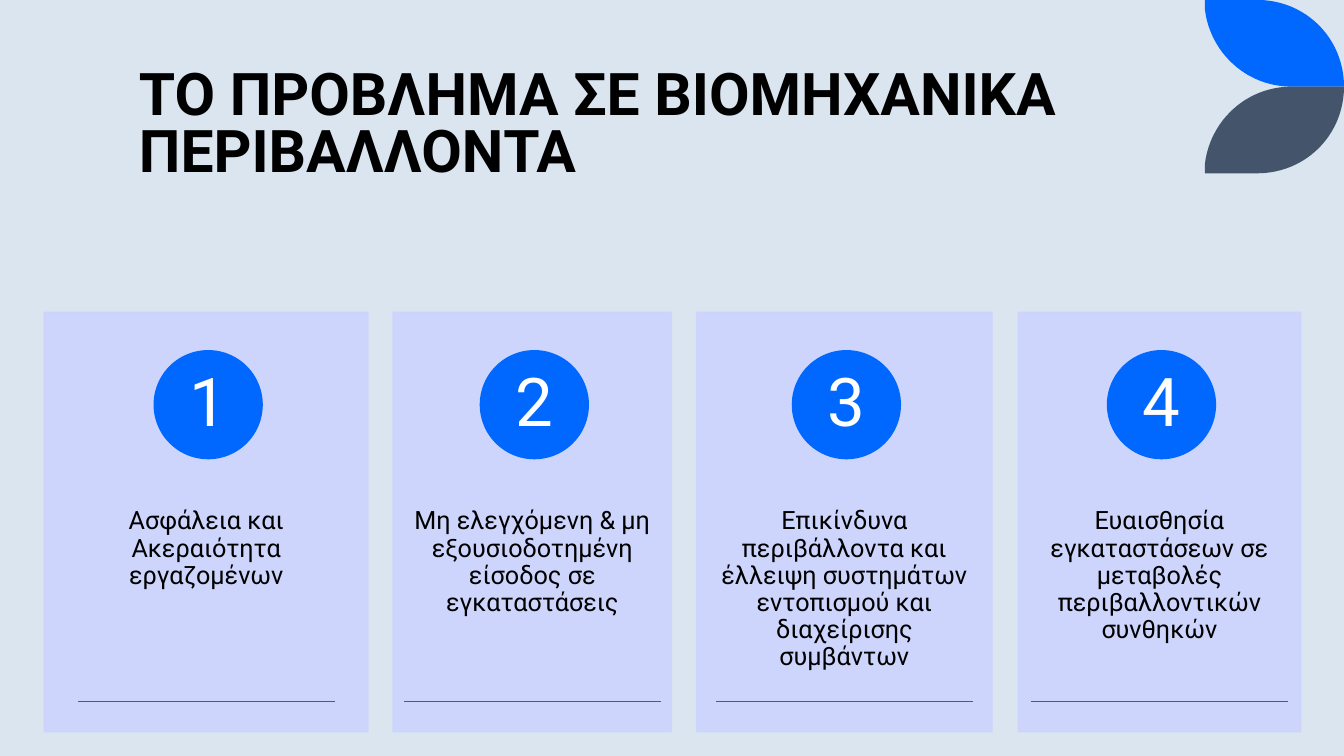
from dataclasses import dataclass

from lxml import etree
from pptx import Presentation
from pptx.dml.color import RGBColor
from pptx.enum.shapes import MSO_CONNECTOR, MSO_SHAPE
from pptx.enum.text import MSO_ANCHOR as ANCHOR, PP_ALIGN as ALIGN
from pptx.oxml.ns import qn
from pptx.util import Inches, Pt


@dataclass(frozen=True)
class Theme:
    font: str = "Roboto"
    background: RGBColor = RGBColor(0xDA, 0xE5, 0xEF)
    blue: RGBColor = RGBColor(0x00, 0x68, 0xFF)
    slate: RGBColor = RGBColor(0x44, 0x54, 0x6A)
    card: RGBColor = RGBColor(0xCC, 0xD4, 0xFF)
    black: RGBColor = RGBColor(0, 0, 0)
    white: RGBColor = RGBColor(0xFF, 0xFF, 0xFF)
    title_size: int = 42
    number_size: int = 48
    body_size: int = 18


theme = Theme()
prs = Presentation()
prs.slide_width, prs.slide_height = Inches(13.33), Inches(7.5)
s = prs.slides.add_slide(prs.slide_layouts[6])
s.background.fill.solid()
s.background.fill.fore_color.rgb = theme.background


def add_text(box, text, size, color, spacing, anchor, align, insets, bold=False):
    tf = s.shapes.add_textbox(*map(Inches, box)).text_frame
    tf.word_wrap = True
    tf.vertical_anchor = anchor
    tf.margin_left = tf.margin_right = Inches(insets[0])
    tf.margin_top = tf.margin_bottom = Inches(insets[1])
    p = tf.paragraphs[0]
    p.text = text
    p.alignment = align
    p.line_spacing = spacing
    font = p.runs[0].font
    font.name, font.size, font.bold = theme.font, Pt(size), bold
    font.color.rgb = color


def add_filled(kind, box, color):
    sp = s.shapes.add_shape(kind, *map(Inches, box))
    sp.shadow.inherit = False
    sp.fill.solid()
    sp.fill.fore_color.rgb = color
    sp.line.color.rgb = color
    sp.line.width = Pt(1)
    return sp


# Corner petals: the lower one mirrors the upper one
petal_height = 0.86
curves = [
    [(12.47, 0), (12.95, 0), (13.33, 0.38), (13.33, 0.86)],
    [(12.81, 0.86), (12.36, 0.86), (12, 0.52), (11.95, 0.09)],
]
steps = 24
outline = [(11.95, 0)]
for curve in curves:
    for i in range(steps + 1):
        t = i / steps
        weights = ((1 - t) ** 3, 3 * t * (1 - t) ** 2, 3 * t * t * (1 - t), t ** 3)
        outline.append(tuple(sum(w * pt[axis] for w, pt in zip(weights, curve))
                             for axis in (0, 1)))

for color, mirrored in ((theme.blue, False), (theme.slate, True)):
    points = [(Inches(x), Inches(2 * petal_height - y if mirrored else y))
              for x, y in outline]
    builder = s.shapes.build_freeform(*points[0])
    builder.add_line_segments(points[1:], close=True)
    sp = builder.convert_to_shape()
    sp.shadow.inherit = False
    sp.fill.solid()
    sp.fill.fore_color.rgb = color
    sp.line.fill.background()

# Title
add_text((1.28, 0.15, 10.69, 1.72), "ΤΟ ΠΡΟΒΛΗΜΑ ΣΕ ΒΙΟΜΗΧΑΝΙΚΑ ΠΕΡΙΒΑΛΛΟΝΤΑ",
         theme.title_size, theme.black, 0.8, ANCHOR.BOTTOM, ALIGN.LEFT,
         (0.1, 0.05), bold=True)

# Numbered cards: left edge, width, text
cards = [
    (0.44, 3.21, "Ασφάλεια και Ακεραιότητα εργαζομένων"),
    (3.9, 2.76, "Μη ελεγχόμενη & μη εξουσιοδοτημένη είσοδος σε εγκαταστάσεις"),
    (6.91, 2.93, "Επικίνδυνα περιβάλλοντα και έλλειψη συστημάτων εντοπισμού "
                 "και διαχείρισης συμβάντων"),
    (10.1, 2.8, "Ευαισθησία εγκαταστάσεων σε μεταβολές περιβαλλοντικών συνθηκών"),
]
circle, number_box, rule_width, rule_y = 1.07, 0.76, 2.55, 6.96

for number, (left, width, text) in enumerate(cards, start=1):
    center = left + width / 2
    circle_center = center + 0.02

    # Card panel, 90% opaque in fill and border
    panel = add_filled(MSO_SHAPE.RECTANGLE, (left, 3.1, width, 4.16), theme.card)
    for color in panel._element.spPr.iter(qn("a:srgbClr")):
        etree.SubElement(color, qn("a:alpha"), val="90000")

    add_text((left, 4.68, width, 2.49), text, theme.body_size, theme.black,
             0.9, ANCHOR.TOP, ALIGN.CENTER, (0.2, 0.36))

    # Number badge
    add_filled(MSO_SHAPE.OVAL, (circle_center - circle / 2, 3.48, circle, circle),
               theme.blue)
    add_text((circle_center - number_box / 2, 3.64, number_box, number_box),
             str(number), theme.number_size, theme.white, 0.9, ANCHOR.MIDDLE,
             ALIGN.CENTER, (0.08, 0.01))

    # Rule at the foot of the card
    rule = s.shapes.add_connector(
        MSO_CONNECTOR.STRAIGHT, Inches(center - rule_width / 2), Inches(rule_y),
        Inches(center + rule_width / 2), Inches(rule_y))
    rule.line.color.rgb = theme.blue
    rule.line.width = Pt(1)
    etree.SubElement(rule._element.spPr, qn("a:effectLst"))

prs.save("out.pptx")
